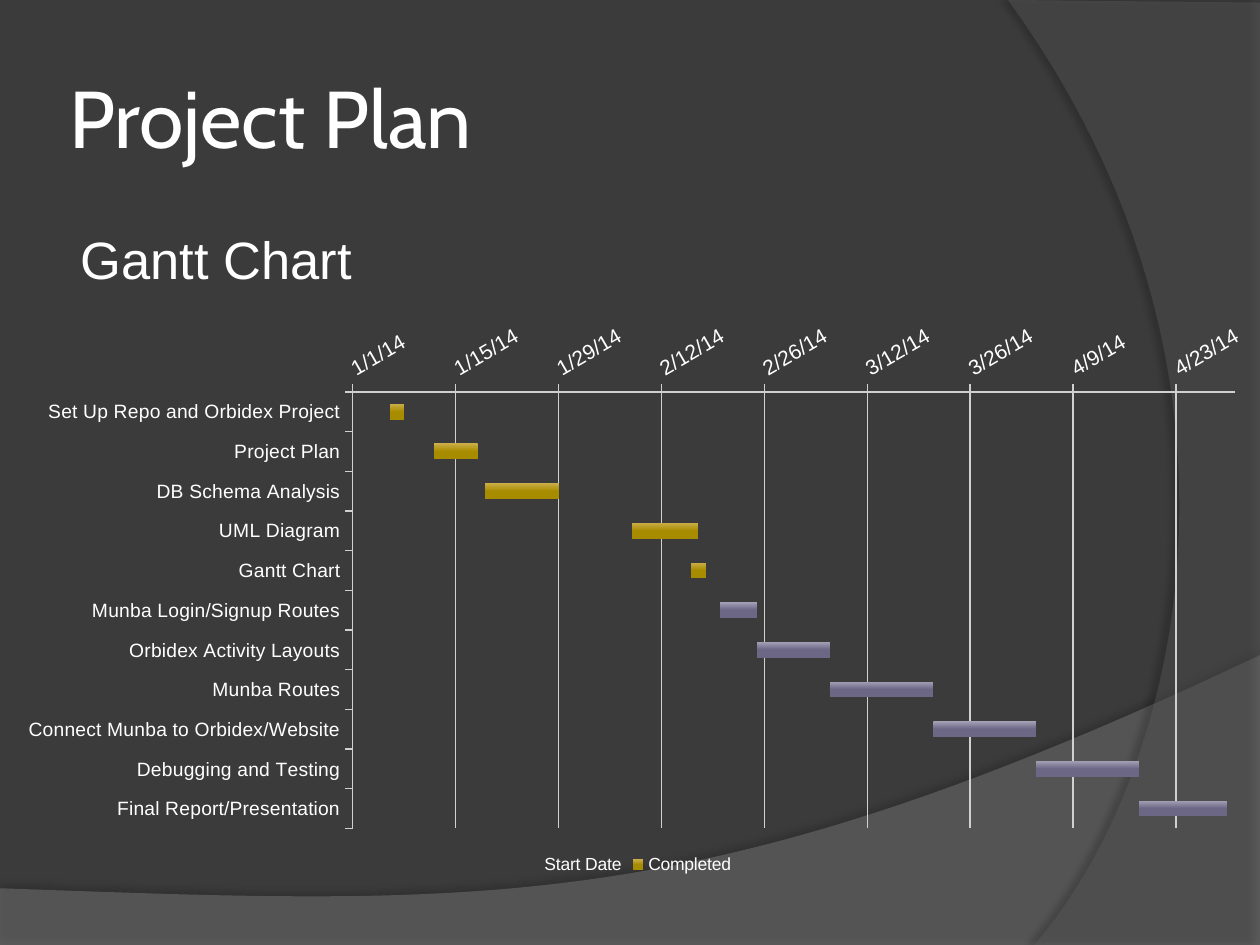
"""Build the project plan slide with its Gantt chart."""
from lxml.etree import SubElement
from pptx import Presentation
from pptx.chart.data import CategoryChartData
from pptx.dml.color import RGBColor
from pptx.enum.chart import XL_CHART_TYPE as ChartType, XL_LEGEND_POSITION as LegendPos
from pptx.enum.chart import XL_TICK_LABEL_POSITION as LabelPos, XL_TICK_MARK as Tick
from pptx.enum.text import MSO_ANCHOR as Anchor, PP_ALIGN as Align
from pptx.oxml import parse_xml
from pptx.oxml.ns import nsdecls, qn
from pptx.util import Pt

WHITE = "FFFFFF"
GRID = "D0D0D0"


def rgb(color):
    return RGBColor.from_string(color)


def write(frame, text, size, font, anchor, inset, indent=0, before=0):
    frame.word_wrap = True
    frame.vertical_anchor = anchor
    frame.margin_left = frame.margin_right = Pt(inset + indent)
    frame.margin_top = frame.margin_bottom = Pt(3.6)
    paragraph = frame.paragraphs[0]
    paragraph.alignment = Align.LEFT
    paragraph.space_before = Pt(before)
    run = paragraph.add_run()
    run.text = text
    run.font.size = Pt(size)
    run.font.name = font
    run.font.color.rgb = rgb(WHITE)


deck = Presentation()
deck.slide_width, deck.slide_height = Pt(720), Pt(540)
slide = deck.slides.add_slide(deck.slide_layouts[5])
slide.background.fill.solid()
slide.background.fill.fore_color.rgb = rgb("3B3B3B")

swooshes = [
    ([(0, 507.6), (0, 540), (720, 540)],
     [(720, 374.4), (402.5, 524.9), (281.5, 517.7), (0, 507.6)],
     "7F7F7F", 45, 35, 3.5, 270),
    ([(720, 1.5), (720, 540)],
     [(591, 540), (673.2, 445.7), (733, 216), (576, 0)],
     "5E5E5E", 40, 45, 4, 180),
]
steps = 48
for corners, controls, color, opacity, darkness, distance, direction in swooshes:
    outline = list(corners)
    for step in range(steps + 1):
        t = step / steps
        weights = [(1 - t) ** 3, 3 * t * (1 - t) ** 2, 3 * t ** 2 * (1 - t), t ** 3]
        outline.append(tuple(sum(w * point[axis] for w, point in zip(weights, controls))
                             for axis in (0, 1)))
    fine = [(x * 100, y * 100) for x, y in outline]
    builder = slide.shapes.build_freeform(*fine[0], scale=Pt(1) / 100)
    builder.add_line_segments(fine[1:], close=True)
    swoosh = builder.convert_to_shape()
    swoosh.line.fill.background()
    swoosh.fill.solid()
    swoosh.fill.fore_color.rgb = rgb(color)
    swoosh.shadow.inherit = False
    properties = swoosh._element.spPr
    fill_color = properties.find(qn("a:solidFill")).find(qn("a:srgbClr"))
    SubElement(fill_color, qn("a:alpha"), val=str(opacity * 1000))
    properties.find(qn("a:effectLst")).append(parse_xml(
        f'<a:outerShdw {nsdecls("a")} blurRad="{Pt(4)}" dist="{Pt(distance)}" '
        f'dir="{direction * 60000}" rotWithShape="0"><a:srgbClr val="000000">'
        f'<a:alpha val="{darkness * 1000}"/></a:srgbClr></a:outerShdw>'))

title = slide.shapes.title
slide.shapes._spTree.append(title._element)
title.left, title.top, title.width, title.height = Pt(36), Pt(21.6), Pt(588), Pt(90)
write(title.text_frame, "Project Plan", 46, "Cabin", Anchor.MIDDLE, 3.6)
subtitle = slide.shapes.add_textbox(Pt(36), Pt(126), Pt(588), Pt(48))
write(subtitle.text_frame, "Gantt Chart", 30, "Arial", Anchor.TOP, 7.2, indent=2.9, before=4)

tasks = [
    ("Set Up Repo and Orbidex Project", 41645, 2, 0),
    ("Project Plan", 41651, 6, 0),
    ("DB Schema Analysis", 41658, 10, 0),
    ("UML Diagram", 41678, 9, 0),
    ("Gantt Chart", 41686, 2, 0),
    ("Munba Login/Signup Routes", 41690, 0, 5),
    ("Orbidex Activity Layouts", 41695, 0, 10),
    ("Munba Routes", 41705, 0, 14),
    ("Connect Munba to Orbidex/Website", 41719, 0, 14),
    ("Debugging and Testing", 41733, 0, 14),
    ("Final Report/Presentation", 41747, 0, 12),
]
names, starts, completed, remaining = zip(*tasks)
schedule = CategoryChartData()
schedule.categories = names
schedule.add_series("Start Date", starts, number_format="m/d/yy")
schedule.add_series("Completed", completed)
schedule.add_series("Remaining", remaining)
gantt = slide.shapes.add_chart(ChartType.BAR_STACKED, Pt(0), Pt(178.6), Pt(720), Pt(324),
                               schedule).chart
gantt.has_title = False
gantt.font.name = "Arial"
gantt.font.size = Pt(10)
gantt.font.color.rgb = rgb(WHITE)

bars = gantt.plots[0]
bars.gap_width, bars.overlap = 150, 100
bars.vary_by_categories = False
start_bar, *work_bars = bars.series
start_bar.format.fill.background()
for bar, (light, dark) in zip(work_bars, [("CCAF4A", "A88C00"), ("A5A2B8", "6C6784")]):
    bar.invert_if_negative = False
    bar.format.fill.gradient()
    bar.format.fill.gradient_angle = 270
    for stop, color, position in zip(bar.format.fill.gradient_stops, (light, dark), (0, 0.5)):
        stop.color.rgb = rgb(color)
        stop.position = position

task_axis, date_axis = gantt.category_axis, gantt.value_axis
task_axis.reverse_order = True
task_axis.has_major_gridlines = False
date_axis.minimum_scale, date_axis.maximum_scale, date_axis.major_unit = 41640, 41760, 14
date_axis.has_major_gridlines = True
date_axis.tick_labels.number_format = "m/d/yy"
date_axis.tick_labels.number_format_is_linked = False
for axis, size in ((task_axis, 11), (date_axis, 12)):
    axis.major_tick_mark, axis.minor_tick_mark = Tick.OUTSIDE, Tick.NONE
    axis.tick_label_position = LabelPos.NEXT_TO_AXIS
    axis.tick_labels.font.size = Pt(size)
    axis.tick_labels.font.name = "Arial"
    axis.tick_labels.font.color.rgb = rgb(WHITE)
for line in (task_axis.format.line, date_axis.format.line, date_axis.major_gridlines.format.line):
    line.color.rgb = rgb(GRID)
    line.width = Pt(0.75)
date_axis._element.find(qn("c:txPr")).find(qn("a:bodyPr")).set("rot", str(-30 * 60000))

gantt.has_legend = True
gantt.legend.position = LegendPos.BOTTOM
gantt.legend.include_in_layout = False
gantt.legend.font.size = Pt(10)
gantt.legend.font.color.rgb = rgb(WHITE)
gantt.legend._element.find(qn("c:legendPos")).addnext(parse_xml(
    f'<c:legendEntry {nsdecls("c")}><c:idx val="0"/><c:delete val="1"/></c:legendEntry>'))

plot_area = gantt._chartSpace.chart.plotArea
for layout in plot_area.findall(qn("c:layout")):
    plot_area.remove(layout)
frame_parts = "".join(f'<c:{tag} val="{value}"/>' for tag, value in (
    ("layoutTarget", "inner"), ("xMode", "edge"), ("yMode", "edge"),
    ("x", 0.28), ("y", 0.14), ("w", 0.7), ("h", 0.77)))
plot_area.insert(0, parse_xml(
    f'<c:layout {nsdecls("c")}><c:manualLayout>{frame_parts}</c:manualLayout></c:layout>'))

deck.save("out.pptx")
